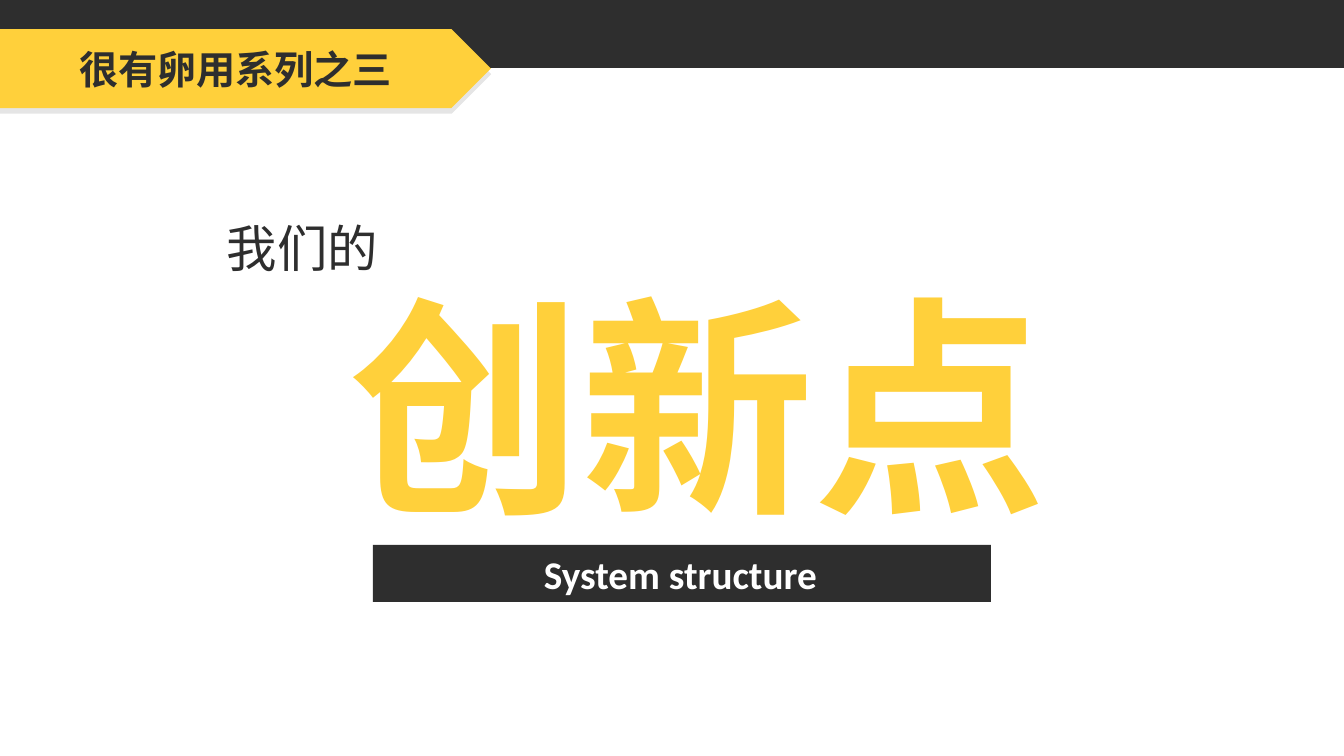
from lxml.etree import SubElement
from pptx import Presentation
from pptx.dml.color import RGBColor
from pptx.enum.shapes import MSO_SHAPE
from pptx.enum.text import MSO_ANCHOR, MSO_AUTO_SIZE, PP_ALIGN
from pptx.oxml.ns import qn
from pptx.util import Pt

PX = 12192000 / 1344
DARK, GOLD, WHITE = "2E2E2E", "FFD03B", "FFFFFF"
SANS, CJK = "Calibri", "Noto Sans CJK TC"


def px(*sizes):
    return [round(size * PX) for size in sizes]


def color(code):
    return RGBColor.from_string(code)


def block(slide, kind, box, fill):
    shape = slide.shapes.add_shape(kind, *px(*box))
    shape.shadow.inherit = False
    shape.fill.solid()
    shape.fill.fore_color.rgb = color(fill)
    shape.line.fill.background()
    return shape


def write(shape, text, size, fill, align=PP_ALIGN.LEFT, anchor=MSO_ANCHOR.TOP,
          font=SANS, bold=True, wrap=True):
    frame = shape.text_frame
    frame.word_wrap = wrap
    frame.auto_size = MSO_AUTO_SIZE.NONE
    frame.vertical_anchor = anchor
    line = frame.paragraphs[0]
    line.alignment = align
    line.line_spacing = 1.0
    line.space_before = Pt(0)
    run = line.add_run()
    run.text = text
    run.font.name = font
    run.font.size = Pt(size)
    run.font.bold = bold
    run.font.color.rgb = color(fill)


def shade(shape):
    props = shape._element.spPr
    effects = props.find(qn("a:effectLst"))
    outer = SubElement(effects, qn("a:outerShdw"), blurRad="0",
                       dist=str(Pt(4)), dir=str(87 * 60000),
                       algn="t", rotWithShape="0")
    tone = SubElement(outer, qn("a:srgbClr"), val="000000")
    SubElement(tone, qn("a:alpha"), val="10000")


def header(slide, box):
    x, y, w, h = box
    block(slide, MSO_SHAPE.RECTANGLE, box, DARK)
    tag = block(slide, MSO_SHAPE.PENTAGON, (x, y + 29, 491, 79), GOLD)
    shade(tag)
    write(tag, "很有卵用系列之三", 28, DARK, PP_ALIGN.CENTER, MSO_ANCHOR.MIDDLE)


def heading(slide, box):
    x, y, w, h = box
    lead = slide.shapes.add_textbox(*px(x, y, 173, 72))
    write(lead, "我们的", 36, DARK, font=CJK, bold=False, wrap=False)
    title = slide.shapes.title
    title.left, title.top, title.width, title.height = px(
        x + 122, y + 46, w - 122, h - 46)
    write(title, "创新点", 166, GOLD)


def banner(slide, box):
    block(slide, MSO_SHAPE.RECTANGLE, box, DARK)
    x, y, w, h = box
    label = slide.shapes.add_textbox(*px(x + 161, y, 343, h))
    write(label, "System structure", 28, WHITE)


def main():
    deck = Presentation()
    deck.slide_width, deck.slide_height = px(1344, 756)
    slide = deck.slides.add_slide(deck.slide_layouts[5])
    header(slide, (0, 0, 1344, 68))
    heading(slide, (217, 212, 1292, 337))
    banner(slide, (373, 545, 618, 57))
    deck.save("out.pptx")


if __name__ == "__main__":
    main()
